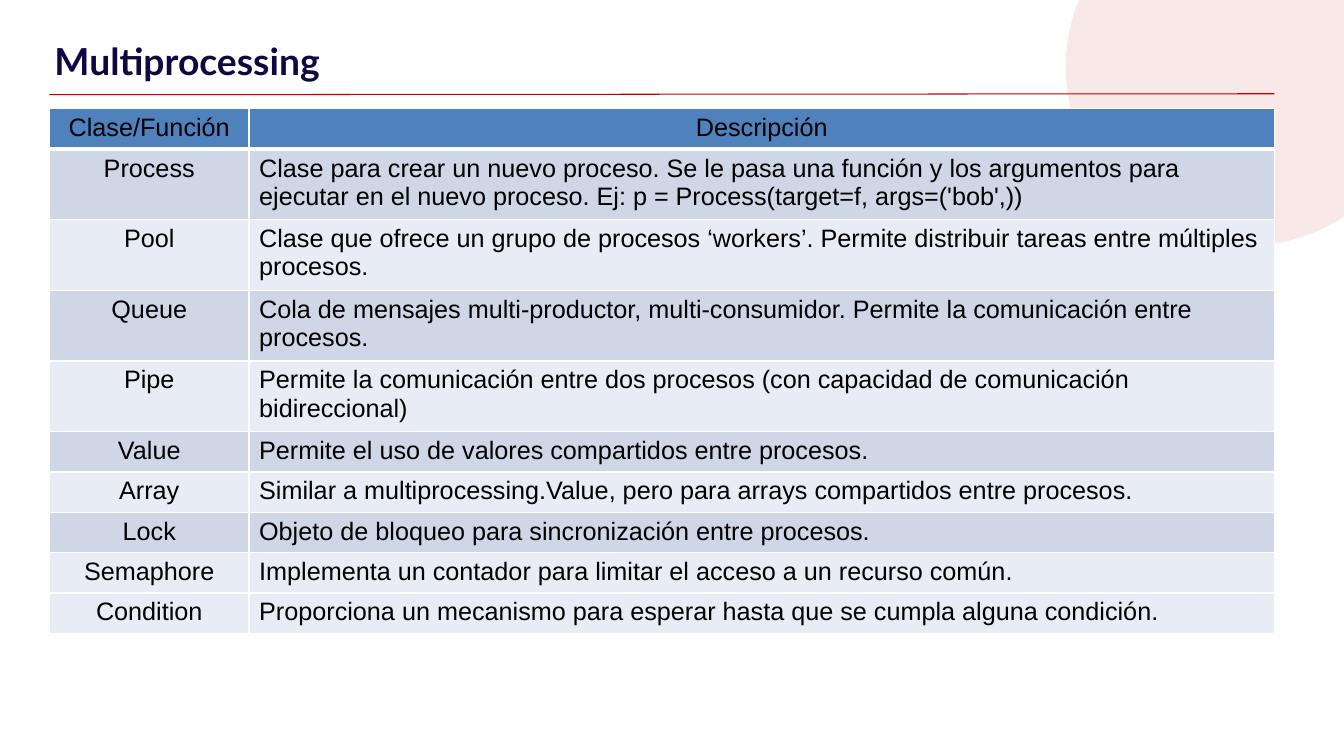
from lxml import etree
from pptx import Presentation
from pptx.dml.color import RGBColor
from pptx.enum.shapes import MSO_CONNECTOR, MSO_SHAPE
from pptx.enum.text import MSO_ANCHOR, PP_ALIGN
from pptx.oxml.ns import qn
from pptx.util import Inches, Pt

STRAIGHT = MSO_CONNECTOR.STRAIGHT
OVAL = MSO_SHAPE.OVAL
TOP = MSO_ANCHOR.TOP
LEFT, CENTER = PP_ALIGN.LEFT, PP_ALIGN.CENTER

WHITE = RGBColor(0xFF, 0xFF, 0xFF)
BLACK = RGBColor(0, 0, 0)
RED = RGBColor(0xC0, 0, 0)
NAVY = RGBColor(0x11, 0x07, 0x41)
HEADER_BLUE = RGBColor(0x4F, 0x81, 0xBD)
DARK_BAND = RGBColor(0xCF, 0xD7, 0xE7)
LIGHT_BAND = RGBColor(0xE8, 0xEC, 0xF4)

SLIDE_WIDTH, SLIDE_HEIGHT = 13.33, 7.5
NAME_SHARE = 0.163
ONE_LINE, TWO_LINES = 0.38, 0.66

HEADER = ("Clase/Función", "Descripción", ONE_LINE, HEADER_BLUE)
ROWS = [
    HEADER,
    ("Process", "Clase para crear un nuevo proceso. Se le pasa una función y los "
     "argumentos para ejecutar en el nuevo proceso. "
     "Ej: p = Process(target=f, args=('bob',))", TWO_LINES, DARK_BAND),
    ("Pool", "Clase que ofrece un grupo de procesos ‘workers’. Permite distribuir "
     "tareas entre múltiples procesos.", TWO_LINES, LIGHT_BAND),
    ("Queue", "Cola de mensajes multi-productor, multi-consumidor. Permite la "
     "comunicación entre procesos.", TWO_LINES, DARK_BAND),
    ("Pipe", "Permite la comunicación entre dos procesos (con capacidad de "
     "comunicación bidireccional)", TWO_LINES, LIGHT_BAND),
    ("Value", "Permite el uso de valores compartidos entre procesos.",
     ONE_LINE, DARK_BAND),
    ("Array", "Similar a multiprocessing.Value, pero para arrays compartidos "
     "entre procesos.", ONE_LINE, LIGHT_BAND),
    ("Lock", "Objeto de bloqueo para sincronización entre procesos.",
     ONE_LINE, DARK_BAND),
    ("Semaphore", "Implementa un contador para limitar el acceso a un recurso común.",
     ONE_LINE, LIGHT_BAND),
    ("Condition", "Proporciona un mecanismo para esperar hasta que se cumpla "
     "alguna condición.", ONE_LINE, LIGHT_BAND),
]


def add_run(paragraph, text, font_name, size, color, bold=False):
    run = paragraph.add_run()
    run.text = text
    run.font.name = font_name
    run.font.size = Pt(size)
    run.font.bold = bold
    run.font.color.rgb = color


def add_corner_circle(slide, left, top, width, height):
    circle = slide.shapes.add_shape(
        OVAL, Inches(left), Inches(top), Inches(width), Inches(height))
    circle.shadow.inherit = False
    circle.line.fill.background()
    circle.fill.solid()
    circle.fill.fore_color.rgb = RED
    color = circle.fill._xPr.find(".//" + qn("a:srgbClr"))
    etree.SubElement(color, qn("a:alpha"), val="9000")


def add_title(slide, left, top, width, height):
    box = slide.shapes.add_textbox(
        Inches(left), Inches(top), Inches(width), Inches(height))
    frame = box.text_frame
    frame.word_wrap = True
    frame.vertical_anchor = TOP
    frame.margin_left = frame.margin_right = Inches(0.13)
    frame.margin_top = Inches(height / 2)
    frame.margin_bottom = 0
    add_run(frame.paragraphs[0], "Multiprocessing", "Lato", 26.6, NAVY, True)


def add_title_rule(slide, left, top, width, height):
    rule = slide.shapes.add_connector(
        STRAIGHT, Inches(left), Inches(top + height),
        Inches(left + width), Inches(top))
    rule.line.color.rgb = RED
    rule.line.width = Pt(0.75)
    etree.SubElement(rule._element.spPr, qn("a:effectLst"))


def set_borders(cell, widths):
    properties = cell._tc.get_or_add_tcPr()
    for index, (side, width) in enumerate(widths.items()):
        border = etree.Element(qn("a:" + side), w=str(Pt(width)))
        fill = etree.SubElement(border, qn("a:solidFill"))
        etree.SubElement(fill, qn("a:srgbClr"), val=str(WHITE))
        properties.insert(index, border)


def fill_cell(cell, text, alignment, color, widths):
    cell.fill.solid()
    cell.fill.fore_color.rgb = color
    set_borders(cell, widths)
    paragraph = cell.text_frame.paragraphs[0]
    paragraph.alignment = alignment
    add_run(paragraph, text, "Arial", 18, BLACK)


def add_class_table(slide, left, top, width):
    height = sum(row[2] for row in ROWS)
    table = slide.shapes.add_table(
        len(ROWS), 2, Inches(left), Inches(top),
        Inches(width), Inches(height)).table
    table.columns[0].width = Inches(width * NAME_SHARE)
    table.columns[1].width = Inches(width * (1 - NAME_SHARE))
    for index, (name, description, row_height, color) in enumerate(ROWS):
        table.rows[index].height = Inches(row_height)
        widths = {"lnL": 1, "lnR": 1,
                  "lnT": 3 if index == 1 else 1,
                  "lnB": 3 if index == 0 else 1}
        fill_cell(table.cell(index, 0), name, CENTER, color, widths)
        fill_cell(table.cell(index, 1), description,
                  CENTER if index == 0 else LEFT, color, widths)


def main():
    presentation = Presentation()
    presentation.slide_width = Inches(SLIDE_WIDTH)
    presentation.slide_height = Inches(SLIDE_HEIGHT)
    slide = presentation.slides.add_slide(presentation.slide_layouts[6])
    slide.background.fill.solid()
    slide.background.fill.fore_color.rgb = WHITE
    add_corner_circle(slide, 10.57, -1.11, 3.57, 3.55)
    add_title_rule(slide, 0.49, 0.93, 12.15, 0.01)
    add_title(slide, 0.41, 0, 11.47, 0.76)
    add_class_table(slide, 0.49, 1.08, 12.15)
    presentation.save("out.pptx")


if __name__ == "__main__":
    main()
